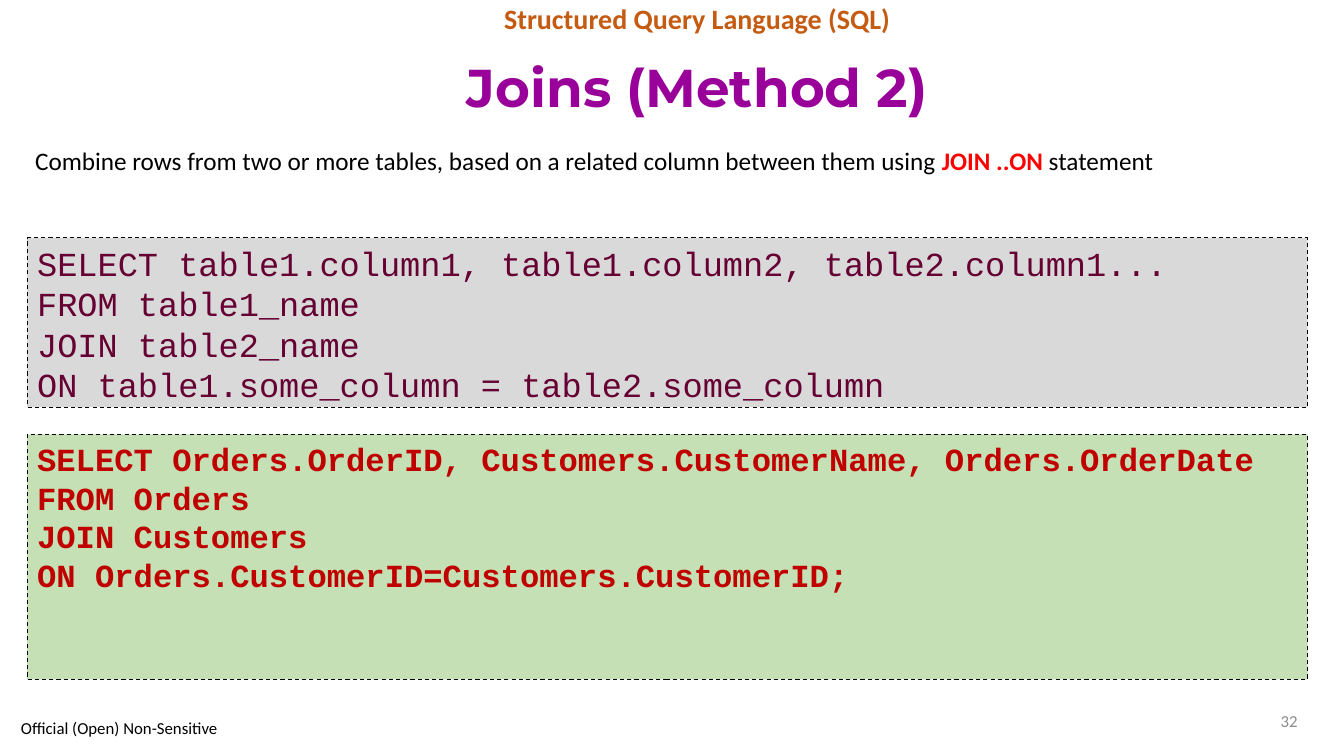
from dataclasses import dataclass

from pptx import Presentation
from pptx.dml.color import RGBColor
from pptx.enum.dml import MSO_LINE
from pptx.enum.shapes import MSO_SHAPE
from pptx.enum.text import MSO_ANCHOR, MSO_AUTO_SIZE, PP_ALIGN
from pptx.oxml.ns import qn
from pptx.shapes.autoshape import Shape
from pptx.slide import Slide
from pptx.text.text import TextFrame
from pptx.util import Emu, Pt

EMU_PER_PX = 9144  # 100 px to the inch


@dataclass(frozen=True)
class TextStyle:
    font: str
    size: int
    color: str
    bold: bool = False


@dataclass(frozen=True)
class Theme:
    title: TextStyle = TextStyle("Montserrat", 38, "990099", True)
    topic: TextStyle = TextStyle("Calibri", 20, "C55A11", True)
    body: TextStyle = TextStyle("Calibri", 18, "000000")
    keyword: TextStyle = TextStyle("Calibri", 18, "FF0000", True)
    footer: TextStyle = TextStyle("Calibri", 12, "000000")
    page_number: TextStyle = TextStyle("Calibri", 12, "8C8C8C")
    syntax: TextStyle = TextStyle("Courier New", 24, "660033")
    example: TextStyle = TextStyle("Courier New", 23, "C00000", True)
    syntax_fill: str = "D9D9D9"
    example_fill: str = "C5E0B4"
    border: str = "000000"


THEME = Theme()


@dataclass(frozen=True)
class Box:
    left: int
    top: int
    width: int
    height: int

    def emu(self) -> tuple[Emu, Emu, Emu, Emu]:
        sides = (self.left, self.top, self.width, self.height)
        return tuple(Emu(side * EMU_PER_PX) for side in sides)


@dataclass(frozen=True)
class Span:
    text: str
    style: TextStyle


@dataclass(frozen=True)
class Label:
    box: Box
    spans: tuple[Span, ...]
    align: PP_ALIGN = PP_ALIGN.LEFT
    anchor: MSO_ANCHOR = MSO_ANCHOR.MIDDLE


@dataclass(frozen=True)
class CodePanel:
    box: Box
    code: str
    style: TextStyle
    fill: str


LABELS = (
    Label(Box(970, 695, 327, 40), (Span("32", THEME.page_number),), PP_ALIGN.RIGHT),
    Label(
        Box(25, 139, 1209, 40),
        (
            Span("Combine rows from two or more tables, based on a related column "
                 "between them using ", THEME.body),
            Span("JOIN ..ON ", THEME.keyword),
            Span("statement", THEME.body),
        ),
        anchor=MSO_ANCHOR.TOP,
    ),
    Label(Box(11, 709, 224, 26), (Span("Official (Open) Non-Sensitive", THEME.footer),)),
)

CODE_PANELS = (
    CodePanel(
        Box(27, 236, 1270, 168),
        "SELECT table1.column1, table1.column2, table2.column1...\n"
        "FROM table1_name\n"
        "JOIN table2_name\n"
        "ON table1.some_column = table2.some_column",
        THEME.syntax,
        THEME.syntax_fill,
    ),
    CodePanel(
        Box(27, 431, 1270, 243),
        "SELECT Orders.OrderID, Customers.CustomerName, Orders.OrderDate\n"
        "FROM Orders\n"
        "JOIN Customers\n"
        "ON Orders.CustomerID=Customers.CustomerID;",
        THEME.example,
        THEME.example_fill,
    ),
)


def apply_style(font, style: TextStyle) -> None:
    font.name = style.font
    font.size = Pt(style.size)
    font.bold = style.bold
    font.color.rgb = RGBColor.from_string(style.color)


def set_frame(frame: TextFrame, anchor: MSO_ANCHOR) -> None:
    frame.word_wrap = True
    frame.auto_size = MSO_AUTO_SIZE.NONE
    frame.vertical_anchor = anchor


def fill_placeholder(
    placeholder: Shape, box: Box, text: str, style: TextStyle, anchor: MSO_ANCHOR
) -> None:
    """Move a placeholder and give it one centred line without a bullet."""
    placeholder.left, placeholder.top, placeholder.width, placeholder.height = box.emu()
    frame = placeholder.text_frame
    frame.text = text
    set_frame(frame, anchor)
    line = frame.paragraphs[0]
    line.alignment = PP_ALIGN.CENTER
    line.line_spacing = 0.9
    line.space_before = Pt(0)
    properties = line._p.get_or_add_pPr()
    properties.set("marL", "0")
    properties.set("indent", "0")
    properties.append(properties.makeelement(qn("a:buNone"), {}))
    apply_style(line.runs[0].font, style)


def add_label(slide: Slide, label: Label) -> None:
    frame = slide.shapes.add_textbox(*label.box.emu()).text_frame
    set_frame(frame, label.anchor)
    line = frame.paragraphs[0]
    line.alignment = label.align
    for span in label.spans:
        run = line.add_run()
        run.text = span.text
        apply_style(run.font, span.style)


def add_code_panel(slide: Slide, panel: CodePanel) -> None:
    shape = slide.shapes.add_shape(MSO_SHAPE.RECTANGLE, *panel.box.emu())
    shape.shadow.inherit = False
    shape.fill.solid()
    shape.fill.fore_color.rgb = RGBColor.from_string(panel.fill)
    shape.line.color.rgb = RGBColor.from_string(THEME.border)
    shape.line.width = Pt(0.75)
    shape.line.dash_style = MSO_LINE.DASH
    frame = shape.text_frame
    frame.text = panel.code
    set_frame(frame, MSO_ANCHOR.TOP)
    for line in frame.paragraphs:
        line.alignment = PP_ALIGN.LEFT
        apply_style(line.runs[0].font, panel.style)


def main() -> None:
    deck = Presentation()
    deck.slide_width = Emu(1333 * EMU_PER_PX)
    deck.slide_height = Emu(750 * EMU_PER_PX)
    slide = deck.slides.add_slide(deck.slide_layouts.get_by_name("Title and Content"))
    title, topic = slide.placeholders
    fill_placeholder(title, Box(87, 41, 1209, 97), "Joins (Method 2)",
                     THEME.title, MSO_ANCHOR.MIDDLE)
    fill_placeholder(topic, Box(262, 0, 859, 41), "Structured Query Language (SQL)",
                     THEME.topic, MSO_ANCHOR.TOP)
    for panel in CODE_PANELS:
        add_code_panel(slide, panel)
    for label in LABELS:
        add_label(slide, label)
    deck.save("out.pptx")


if __name__ == "__main__":
    main()
